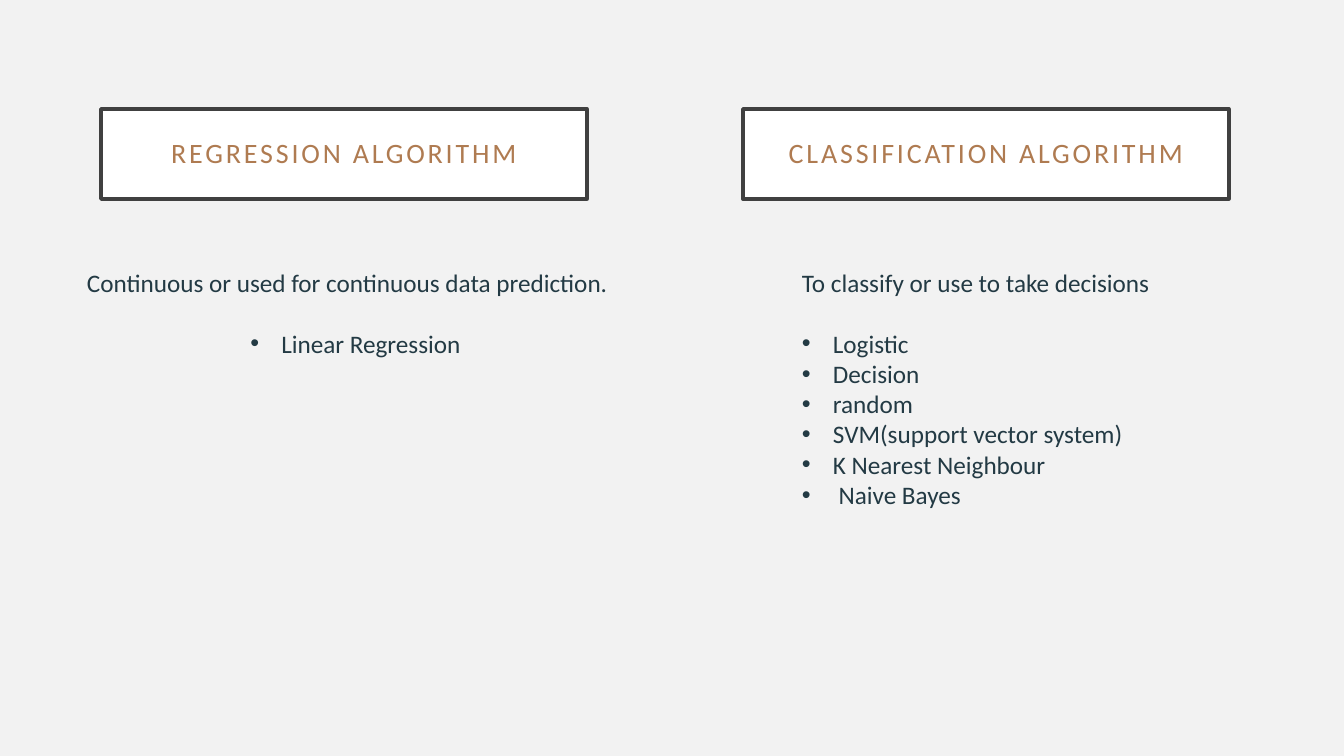
import pptx
import pptx.dml.color
import pptx.enum.shapes
import pptx.enum.text
import pptx.oxml.ns
import pptx.util
from lxml import etree

ALIGN = pptx.enum.text.PP_ALIGN
FONT = "Calibri"
COLORS = {"background": "F2F2F2", "panel": "FFFFFF", "border": "404040",
          "heading": "AF7B51", "body": "233A44"}
COLUMNS = [
    {"heading": "REGRESSION ALGORITHM", "heading_left": 101,
     "summary": "Continuous or used for continuous data prediction.",
     "methods": ["Linear Regression"], "methods_align": ALIGN.CENTER,
     "body_left": 77, "body_width": 557},
    {"heading": "CLASSIFICATION ALGORITHM", "heading_left": 743,
     "summary": "To classify or use to take decisions",
     "methods": ["Logistic", "Decision", "random", "SVM(support vector system)",
                 "K Nearest Neighbour", " Naive Bayes"],
     "methods_align": ALIGN.LEFT, "body_left": 792, "body_width": 386},
]
HEADING_TOP, HEADING_WIDTH, HEADING_HEIGHT, HEADING_INSET = 109, 486, 90, 20
BODY_TOP, LINE_HEIGHT, BODY_PADDING = 262, 30, 10
BULLET_INDENT = 31


def px(length):
    return pptx.util.Emu(round(length * 914400 / 100.8))


def color(value):
    return pptx.dml.color.RGBColor.from_string(value)


def write(paragraph, text, size, ink, align=ALIGN.LEFT, line_spacing=1.0,
          space_before=0, letter_spacing=0, bullet=False):
    paragraph.alignment = align
    paragraph.line_spacing = line_spacing
    paragraph.space_before = pptx.util.Pt(space_before)
    run = paragraph.add_run()
    run.text = text
    run.font.name = FONT
    run.font.size = pptx.util.Pt(size)
    run.font.color.rgb = color(ink)
    if letter_spacing:
        run.font._element.set("spc", str(letter_spacing * 100))
    if bullet:
        properties = paragraph._p.get_or_add_pPr()
        properties.set("marL", str(px(BULLET_INDENT)))
        properties.set("indent", str(-px(BULLET_INDENT)))
        typeface = etree.SubElement(properties, pptx.oxml.ns.qn("a:buFont"))
        typeface.set("typeface", "Arial")
        mark = etree.SubElement(properties, pptx.oxml.ns.qn("a:buChar"))
        mark.set("char", "•")


def format_heading(heading, text):
    heading.fill.solid()
    heading.fill.fore_color.rgb = color(COLORS["panel"])
    heading.line.color.rgb = color(COLORS["border"])
    heading.line.width = pptx.util.Pt(2.5)
    frame = heading.text_frame
    frame.word_wrap = True
    frame.auto_size = pptx.enum.text.MSO_AUTO_SIZE.NONE
    frame.vertical_anchor = pptx.enum.text.MSO_ANCHOR.MIDDLE
    frame.margin_left = frame.margin_right = px(HEADING_INSET)
    frame.margin_top = frame.margin_bottom = px(HEADING_INSET)
    write(frame.paragraphs[0], text, 20, COLORS["heading"], align=ALIGN.CENTER,
          line_spacing=0.9, letter_spacing=2)


def add_body(slide, column):
    line_count = len(column["methods"]) + 2
    body = slide.shapes.add_textbox(
        px(column["body_left"]), px(BODY_TOP), px(column["body_width"]),
        px(line_count * LINE_HEIGHT + 2 * BODY_PADDING))
    frame = body.text_frame
    frame.word_wrap = True
    frame.auto_size = pptx.enum.text.MSO_AUTO_SIZE.SHAPE_TO_FIT_TEXT
    write(frame.paragraphs[0], column["summary"], 18, COLORS["body"])
    for index, method in enumerate(column["methods"]):
        write(frame.add_paragraph(), method, 18, COLORS["body"],
              align=column["methods_align"], bullet=True,
              space_before=22 if index == 0 else 0)


def main():
    presentation = pptx.Presentation()
    presentation.slide_width, presentation.slide_height = px(1344), px(756)
    slide = presentation.slides.add_slide(presentation.slide_layouts[5])
    slide.background.fill.solid()
    slide.background.fill.fore_color.rgb = color(COLORS["background"])

    regression, classification = COLUMNS
    title = slide.shapes.title
    title.left, title.top = px(regression["heading_left"]), px(HEADING_TOP)
    title.width, title.height = px(HEADING_WIDTH), px(HEADING_HEIGHT)
    format_heading(title, regression["heading"])

    second_heading = slide.shapes.add_shape(
        pptx.enum.shapes.MSO_SHAPE.RECTANGLE, px(classification["heading_left"]),
        px(HEADING_TOP), px(HEADING_WIDTH), px(HEADING_HEIGHT))
    second_heading.shadow.inherit = False
    format_heading(second_heading, classification["heading"])

    for column in COLUMNS:
        add_body(slide, column)
    presentation.save("out.pptx")


if __name__ == "__main__":
    main()
